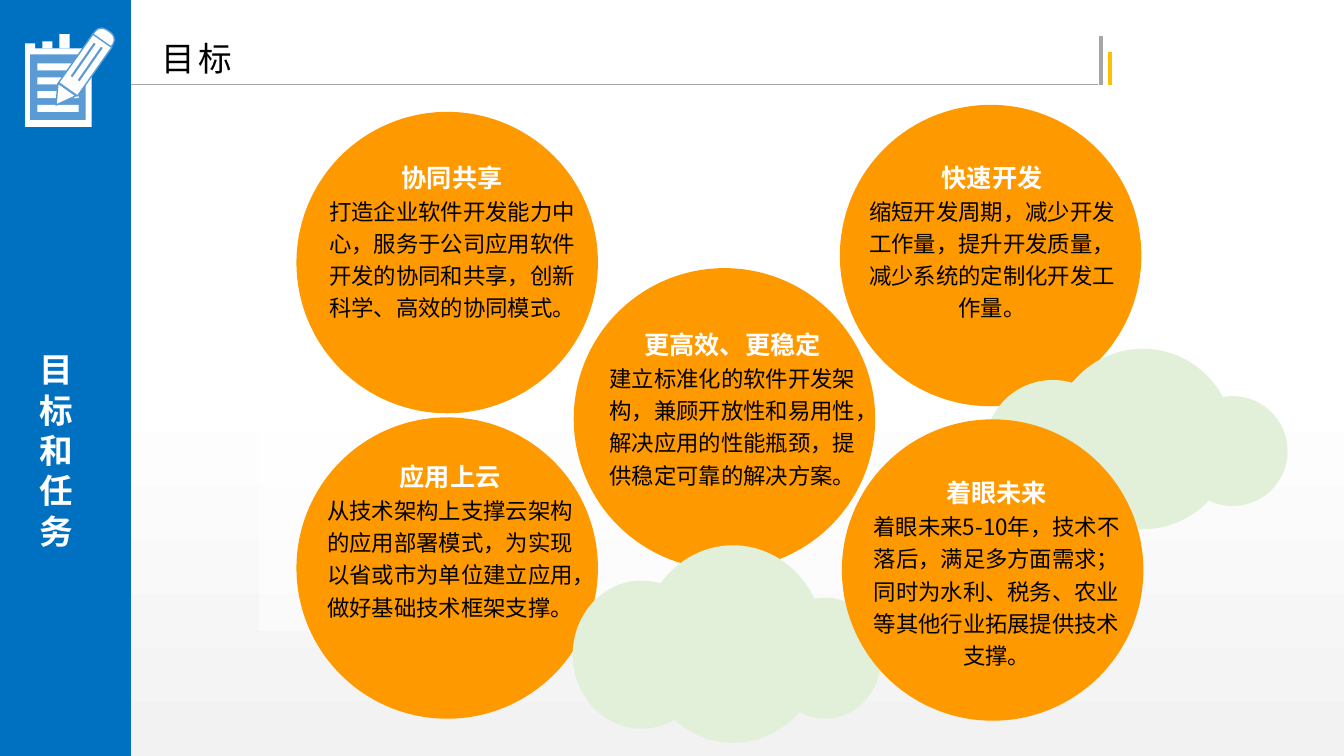
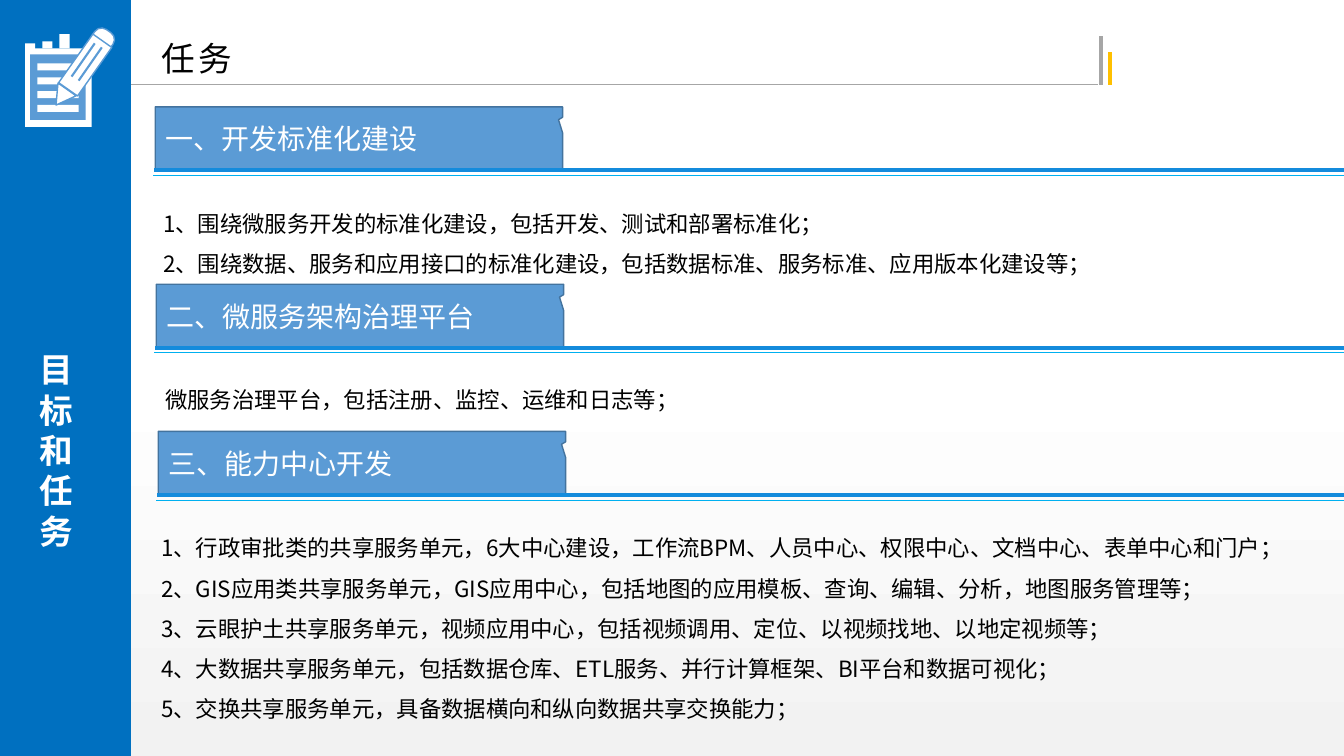
from dataclasses import dataclass
from typing import NamedTuple

from lxml import etree
from pptx import Presentation
from pptx.dml.color import RGBColor
from pptx.enum.shapes import MSO_CONNECTOR, MSO_SHAPE
from pptx.enum.text import MSO_ANCHOR, PP_ALIGN
from pptx.oxml.ns import qn
from pptx.util import Inches, Pt

RECT = MSO_SHAPE.RECTANGLE
ROUNDED = MSO_SHAPE.ROUNDED_RECTANGLE
TRIANGLE = MSO_SHAPE.ISOSCELES_TRIANGLE
OVAL = MSO_SHAPE.OVAL
CALLOUT = MSO_SHAPE.RECTANGULAR_CALLOUT
STRAIGHT = MSO_CONNECTOR.STRAIGHT
LEFT, CENTER = PP_ALIGN.LEFT, PP_ALIGN.CENTER
TOP, MIDDLE, BOTTOM = MSO_ANCHOR.TOP, MSO_ANCHOR.MIDDLE, MSO_ANCHOR.BOTTOM

WHITE = RGBColor(0xFF, 0xFF, 0xFF)
BLACK = RGBColor(0x00, 0x00, 0x00)
PALE_GRAY = RGBColor(0xF2, 0xF2, 0xF2)
GRAY = RGBColor(0xA6, 0xA6, 0xA6)
GOLD = RGBColor(0xFF, 0xC0, 0x00)
BAND_BLUE = RGBColor(0x00, 0x70, 0xC0)
SOFT_BLUE = RGBColor(0x5B, 0x9B, 0xD5)
EDGE_BLUE = RGBColor(0x43, 0x73, 0x9E)
RULE_BLUE = RGBColor(0x14, 0x8B, 0xDC)
SKY_BLUE = RGBColor(0x00, 0xB0, 0xF0)
ORANGE = RGBColor(0xFF, 0x99, 0x00)
CLOUD_GREEN = RGBColor(0xE2, 0xF0, 0xD9)

FONT = "Noto Sans CJK SC"
SLIDE_W, SLIDE_H = 13.33, 7.5
CIRCLE_SIZE = 2.99
PENCIL_ANGLE = 215.2


class Box(NamedTuple):
    x: float
    y: float
    w: float
    h: float


@dataclass(frozen=True)
class Style:
    size: float
    color: RGBColor = BLACK
    bold: bool = False
    align: PP_ALIGN = LEFT
    line_spacing: float = 1.0
    tracking: float = 0


@dataclass(frozen=True)
class Topic:
    x: float
    y: float
    text_box: Box
    heading: str
    body: str


@dataclass(frozen=True)
class Section:
    x: float
    y: float
    heading: str
    body_box: Box
    items: tuple[str, ...]


SIDE_STYLE = Style(24, WHITE, bold=True)
TITLE_STYLE = Style(24, line_spacing=0.9, tracking=3)
TOPIC_HEADING = Style(18, WHITE, bold=True, align=CENTER, line_spacing=1.2)
TOPIC_BODY = Style(16, align=CENTER, line_spacing=1.2)
SECTION_HEADING = Style(20, WHITE)
SECTION_BODY = Style(16, line_spacing=1.5)

TOPICS = (
    Topic(2.94, 1.11, Box(3.12, 1.5, 2.73, 2.08), "协同共享",
          "打造企业软件开发能力中心，服务于公司应用软件开发的协同和共享，创新科学、高效的协同模式。"),
    Topic(8.33, 1.04, Box(8.51, 1.5, 2.66, 1.76), "快速开发",
          "缩短开发周期，减少开发工作量，提升开发质量，减少系统的定制化开发工作量。"),
    Topic(2.94, 4.14, Box(3.1, 4.47, 2.73, 1.76), "应用上云",
          "从技术架构上支撑云架构的应用部署模式，为实现以省或市为单位建立应用，做好基础技术框架支撑。"),
    Topic(5.69, 2.66, Box(5.86, 3.16, 2.81, 1.76), "更高效、更稳定",
          "建立标准化的软件开发架构，兼顾开放性和易用性，解决应用的性能瓶颈，提供稳定可靠的解决方案。"),
    Topic(8.35, 4.16, Box(8.52, 4.63, 2.73, 2.08), "着眼未来",
          "着眼未来5-10年，技术不落后，满足多方面需求；同时为水利、税务、农业等其他行业拓展提供技术支撑。"),
)
RIGHT_CLOUD = (Box(10.44, 3.46, 1.79, 1.79), Box(11.68, 3.93, 1.09, 1.09),
               Box(9.77, 3.77, 1.34, 1.34))
BOTTOM_CLOUD = (Box(6.36, 5.41, 1.82, 1.96), Box(7.63, 5.93, 1.11, 1.2),
                Box(5.68, 5.76, 1.37, 1.47))
SECTIONS = (
    Section(1.54, 1.06, "一、开发标准化建设", Box(1.52, 1.9, 11.81, 1.08), (
        "1、围绕微服务开发的标准化建设，包括开发、测试和部署标准化；",
        "2、围绕数据、服务和应用接口的标准化建设，包括数据标准、服务标准、应用版本化建设等；",
    )),
    Section(1.55, 2.82, "二、微服务架构治理平台", Box(1.54, 3.65, 11.79, 0.62), (
        "微服务治理平台，包括注册、监控、运维和日志等；",
    )),
    Section(1.57, 4.28, "三、能力中心开发", Box(1.5, 5.12, 11.81, 2.11), (
        "1、行政审批类的共享服务单元，6大中心建设，工作流BPM、人员中心、权限中心、文档中心、表单中心和门户；",
        "2、GIS应用类共享服务单元，GIS应用中心，包括地图的应用模板、查询、编辑、分析，地图服务管理等；",
        "3、云眼护土共享服务单元，视频应用中心，包括视频调用、定位、以视频找地、以地定视频等；",
        "4、大数据共享服务单元，包括数据仓库、ETL服务、并行计算框架、BI平台和数据可视化；",
        "5、交换共享服务单元，具备数据横向和纵向数据共享交换能力；",
    )),
)


def add_shape(s, kind, box: Box, fill: RGBColor, line: RGBColor | None = None,
              rotation: float = 0):
    sp = s.shapes.add_shape(kind, *map(Inches, box))
    sp.shadow.inherit = False
    sp.fill.solid()
    sp.fill.fore_color.rgb = fill
    if line is None:
        sp.line.fill.background()
    else:
        sp.line.color.rgb = line
        sp.line.width = Pt(1)
    sp.rotation = rotation
    return sp


def add_line(s, x1: float, y1: float, x2: float, y2: float,
             color: RGBColor, width: float) -> None:
    line = s.shapes.add_connector(STRAIGHT, *map(Inches, (x1, y1, x2, y2)))
    line.line.color.rgb = color
    line.line.width = Pt(width)
    etree.SubElement(line._element.spPr, qn("a:effectLst"))


def add_text(s, box: Box, lines: list[tuple[str, Style]], anchor=TOP):
    tf = s.shapes.add_textbox(*map(Inches, box)).text_frame
    tf.word_wrap = True
    tf.vertical_anchor = anchor
    for i, (text, style) in enumerate(lines):
        p = tf.add_paragraph() if i else tf.paragraphs[0]
        p.text = text
        p.alignment = style.align
        p.line_spacing = style.line_spacing
        p.font.name = FONT
        p.font.size = Pt(style.size)
        p.font.bold = style.bold
        p.font.color.rgb = style.color
        props = p._p.pPr.find(qn("a:defRPr"))
        etree.SubElement(props, qn("a:ea")).set("typeface", FONT)
        if style.tracking:
            props.set("spc", str(int(style.tracking * 100)))
    return tf


def add_notepad_icon(s) -> None:
    add_shape(s, RECT, Box(0.25, 0.48, 0.66, 0.78), WHITE)
    add_shape(s, RECT, Box(0.3, 0.54, 0.55, 0.65), SOFT_BLUE)
    for i in range(4):
        add_shape(s, RECT, Box(0.37, 0.63 + 0.137 * i, 0.41, 0.07), WHITE)
    for x, y, h in ((0.25, 0.43, 0.07), (0.42, 0.41, 0.07), (0.59, 0.34, 0.14)):
        add_shape(s, RECT, Box(x, y, 0.1, h), WHITE)
    eraser = add_shape(s, ROUNDED, Box(0.91, 0.29, 0.22, 0.2), WHITE, SOFT_BLUE,
                       PENCIL_ANGLE)
    eraser.adjustments[0] = 0.41
    add_shape(s, TRIANGLE, Box(0.5, 0.87, 0.22, 0.19), WHITE, SOFT_BLUE, PENCIL_ANGLE)
    add_shape(s, RECT, Box(0.73, 0.35, 0.23, 0.59), WHITE, SOFT_BLUE, PENCIL_ANGLE)
    for x, y in ((0.94, 0.43), (1.01, 0.47)):
        add_line(s, x, y, x - 0.23, y + 0.33, SOFT_BLUE, 1.5)


def add_base_slide(prs, title: str):
    s = prs.slides.add_slide(prs.slide_layouts[6])
    fill = s.background.fill
    fill.gradient()
    fill.gradient_angle = 270
    for stop, position, color in zip(fill.gradient_stops, (0.5, 1), (WHITE, PALE_GRAY)):
        stop.position = position
        stop.color.rgb = color
    add_line(s, 0, 0.84, 10.89, 0.84, GRAY, 0.5)
    add_line(s, 10.92, 0.84, 10.92, 0.36, GRAY, 3)
    add_line(s, 11.01, 0.84, 11.01, 0.52, GOLD, 3)
    add_shape(s, RECT, Box(0, 0, 1.3, SLIDE_H), BAND_BLUE)
    add_notepad_icon(s)
    tf = add_text(s, Box(0.29, 1.43, 0.72, 6.07), [("目标和任务", SIDE_STYLE)], MIDDLE)
    tf._txBody.bodyPr.set("vert", "wordArtVertRtl")
    add_text(s, Box(1.5, 0.28, 6.82, 0.55), [(title, TITLE_STYLE)], BOTTOM)
    return s


def add_panel(s, col: int, row: int) -> None:
    panel = add_shape(s, RECT, Box(2.57 + 3.2 * col, 1.82 + 2.41 * row, 2.81, 2.03), WHITE)
    color = panel._element.spPr.find(qn("a:solidFill"))[0]
    etree.SubElement(color, qn("a:alpha")).set("val", "50000")


def add_topic(s, topic: Topic) -> None:
    add_shape(s, OVAL, Box(topic.x, topic.y, CIRCLE_SIZE, CIRCLE_SIZE), ORANGE)
    add_text(s, topic.text_box, [(topic.heading, TOPIC_HEADING), (topic.body, TOPIC_BODY)])


def add_cloud(s, puffs: tuple[Box, ...]) -> None:
    for puff in puffs:
        add_shape(s, OVAL, puff, CLOUD_GREEN)


def add_section(s, section: Section) -> None:
    x, y = section.x, section.y
    tab = add_shape(s, CALLOUT, Box(x, y, 4.04, 0.62), SOFT_BLUE, EDGE_BLUE)
    tab.adjustments[0] = 0.49
    tab.adjustments[1] = -0.294
    add_text(s, Box(x, y + 0.1, 4.04, 0.44), [(section.heading, SECTION_HEADING)])
    add_line(s, x - 0.01, y + 0.63, SLIDE_W, y + 0.63, RULE_BLUE, 3)
    add_line(s, x - 0.02, y + 0.68, SLIDE_W, y + 0.68, SKY_BLUE, 0.5)
    add_text(s, section.body_box, [(item, SECTION_BODY) for item in section.items])


def build_goals(prs) -> None:
    s = add_base_slide(prs, "目标")
    for col, row in ((0, 0), (1, 0), (2, 0), (0, 1), (1, 1)):
        add_panel(s, col, row)
    for topic in TOPICS[:2]:
        add_topic(s, topic)
    add_cloud(s, RIGHT_CLOUD)
    for topic in TOPICS[2:4]:
        add_topic(s, topic)
    add_cloud(s, BOTTOM_CLOUD)
    add_topic(s, TOPICS[4])


def build_tasks(prs) -> None:
    s = add_base_slide(prs, "任务")
    for section in SECTIONS:
        add_section(s, section)


def main() -> None:
    prs = Presentation()
    prs.slide_width = Inches(SLIDE_W)
    prs.slide_height = Inches(SLIDE_H)
    build_goals(prs)
    build_tasks(prs)
    prs.save("out.pptx")


if __name__ == "__main__":
    main()
